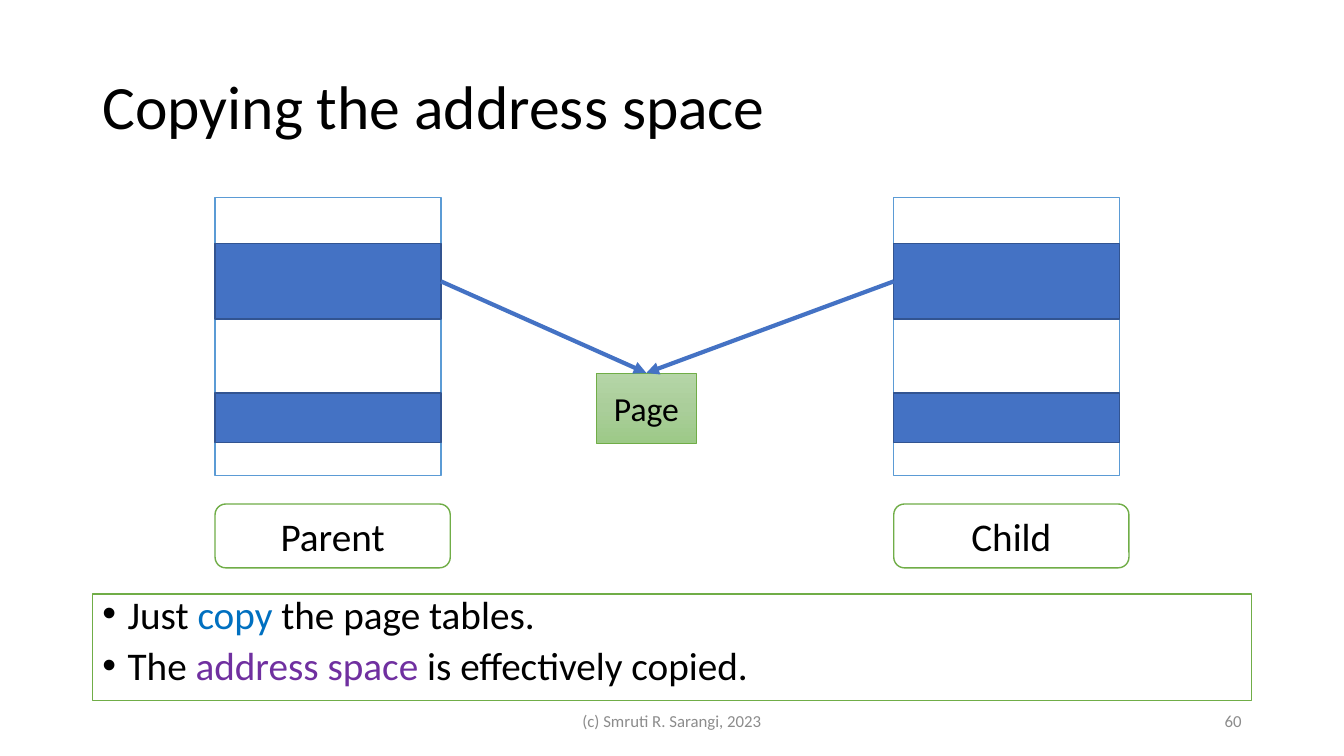
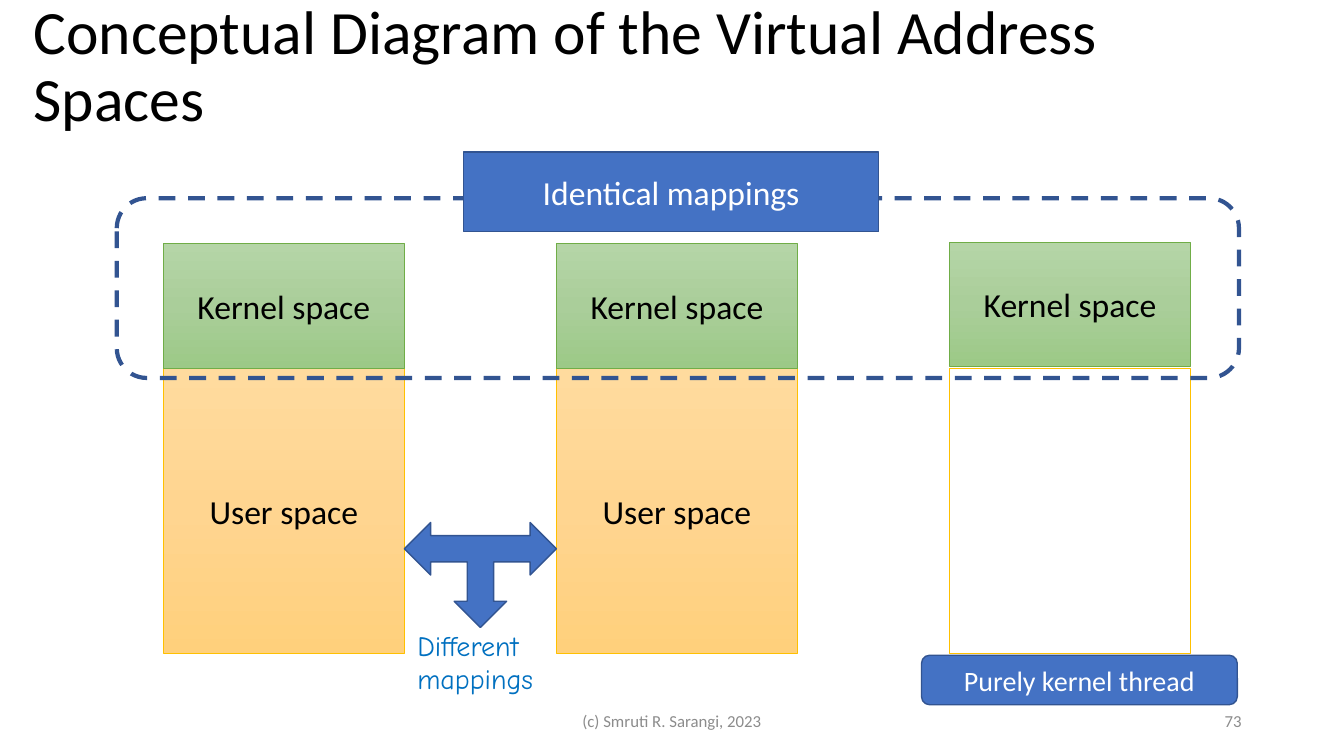
from copy import deepcopy
from dataclasses import dataclass

from lxml.etree import SubElement as Sub
from pptx import Presentation
from pptx.dml.color import RGBColor as Rgb
from pptx.enum.dml import MSO_LINE as Dash
from pptx.enum.shapes import MSO_CONNECTOR as Conn, MSO_SHAPE as Geo
from pptx.enum.text import MSO_ANCHOR as Anchor, MSO_AUTO_SIZE as Auto, PP_ALIGN as Align
from pptx.oxml.ns import qn
from pptx.util import Inches, Pt

COLS, ROWS = 80, 45
UNIT = Inches(1) / 6
TOP, LEFT, RIGHT = 0, 1, 3


@dataclass(frozen=True)
class Theme:
    font: str = "Calibri"
    hand: str = "Comic Neue"
    ink: str = "000000"
    paper: str = "FFFFFF"
    gray: str = "8C8C8C"
    blue: str = "4472C4"
    navy: str = "325491"
    sky: str = "5B9BD5"
    green: str = "70AD47"
    gold: str = "FFC000"
    azure: str = "0070C0"
    violet: str = "7030A0"
    leaf: tuple = ("B5D5A7", "AACE9A", "9CC987")
    sand: tuple = ("FFDB9E", "FFD590", "FFD07C")
    head: int = 44
    large: int = 28
    mid: int = 24
    small: int = 20
    note: int = 12


def grid(*cells):
    """Turn grid columns and rows into slide lengths."""
    return [round(cell * UNIT) for cell in cells]


class Deck:
    def __init__(self, theme):
        self.theme = theme
        self.prs = Presentation()
        self.prs.slide_width, self.prs.slide_height = grid(COLS, ROWS)
        self.slide = None

    def page(self, layout, title, box, number):
        self.slide = self.prs.slides.add_slide(self.prs.slide_layouts[layout])
        t = self.theme
        head = self.slide.shapes.title
        self.place(head, box)
        head.text_frame.vertical_anchor = Anchor.MIDDLE
        par = head.text_frame.paragraphs[0]
        par.line_spacing = 0.9
        self.say(par, [(title, t.ink)], t.head, Align.LEFT)
        for text, spot, align in (
            ("(c) Smruti R. Sarangi, 2023", (26.5, 41.7, 27, 2.4), Align.CENTER),
            (number, (56.5, 41.7, 18, 2.4), Align.RIGHT),
        ):
            foot = self.label(text, spot, t.note, t.gray, align)
            foot.vertical_anchor = Anchor.MIDDLE

    def place(self, shape, box):
        shape.left, shape.top, shape.width, shape.height = grid(*box)
        shape.text_frame.word_wrap = True
        shape.text_frame.auto_size = Auto.NONE

    def say(self, par, runs, size, align, font=None):
        """Add (text, colour) runs; a newline becomes a line break."""
        par.alignment = align
        for text, color in runs:
            for i, line in enumerate(text.split("\n")):
                if i:
                    par.add_line_break()
                run = par.add_run()
                run.text = line
                run.font.name = font or self.theme.font
                run.font.size = Pt(size)
                run.font.color.rgb = Rgb.from_string(color)

    def label(self, text, box, size, color, align=Align.LEFT, font=None):
        frame = self.slide.shapes.add_textbox(*grid(*box)).text_frame
        frame.word_wrap = True
        self.say(frame.paragraphs[0], [(text, color)], size, align, font)
        return frame

    def paint(self, shape, fill, line, width):
        """Fill with nothing, one colour or evenly spaced gradient colours."""
        if fill is None:
            shape.fill.background()
        elif isinstance(fill, str):
            shape.fill.solid()
            shape.fill.fore_color.rgb = Rgb.from_string(fill)
        else:
            shape.fill.gradient()
            shape.fill.gradient_angle = 270
            stops = shape._element.spPr.find(".//" + qn("a:gsLst"))
            while len(stops) < len(fill):
                stops.append(deepcopy(stops[-1]))
            for i, stop in enumerate(shape.fill.gradient_stops):
                stop.position = i / (len(fill) - 1)
                stop.color.rgb = Rgb.from_string(fill[i])
        shape.line.color.rgb = Rgb.from_string(line)
        shape.line.width = Pt(width)

    def shape(self, box, fill, line, text="", size=None, color=None,
              geo=Geo.RECTANGLE, width=1):
        item = self.slide.shapes.add_shape(geo, *grid(*box))
        item.shadow.inherit = False
        self.paint(item, fill, line, width)
        if text:
            frame = item.text_frame
            frame.vertical_anchor = Anchor.MIDDLE
            self.say(frame.paragraphs[0], [(text, color or self.theme.ink)],
                     size, Align.CENTER)
        return item

    def bullets(self, box, items):
        body = self.slide.placeholders[1]
        self.place(body, box)
        t = self.theme
        self.paint(body, t.paper, t.green, 1)
        frame = body.text_frame
        for i, runs in enumerate(items):
            par = frame.add_paragraph() if i else frame.paragraphs[0]
            props = par._p.get_or_add_pPr()
            props.set("marL", str(Inches(0.25)))
            props.set("indent", str(-Inches(0.25)))
            Sub(props, qn("a:buFont")).set("typeface", "Arial")
            Sub(props, qn("a:buChar")).set("char", "•")
            par.line_spacing = 0.8
            par.space_before = Pt(10 if i else 0)
            self.say(par, runs, t.large, Align.LEFT)

    def arrow(self, start, side, end, stop):
        """Join the given sides of two shapes, with a head at the end."""
        link = self.slide.shapes.add_connector(Conn.STRAIGHT, 0, 0, 0, 0)
        link.begin_connect(start, side)
        link.end_connect(end, stop)
        link.line.color.rgb = Rgb.from_string(self.theme.blue)
        link.line.width = Pt(3)
        props = link._element.spPr
        Sub(props.find(qn("a:ln")), qn("a:tailEnd")).set("type", "triangle")
        Sub(props, qn("a:effectLst"))


def copying(deck):
    t = deck.theme
    deck.page(1, "Copying the address space", (5.5, 2.16, 69, 8.7), "60")
    deck.bullets((5.5, 35.35, 69, 6.35), [
        [("Just ", t.ink), ("copy", t.azure), (" the page tables.", t.ink)],
        [("The ", t.ink), ("address space ", t.violet),
         ("is effectively copied.", t.ink)],
    ])
    frame = deck.shape((35.5, 22.2, 5.95, 4.2), t.leaf, t.green, "Page", t.mid,
                       width=0.5)
    wide = 13.45
    for name, x, side in (("Parent", 12.8, RIGHT), ("Child", 53.2, LEFT)):
        deck.shape((x, 11.75, wide, 16.55), t.paper, t.sky)
        block, _ = [deck.shape((x, y, wide, high), t.blue, t.navy)
                    for y, high in ((14.5, 4.5), (23.4, 2.95))]
        deck.shape((x, 30, 14, 3.8), t.paper, t.green, name, t.large,
                   geo=Geo.ROUNDED_RECTANGLE)
        deck.arrow(block, side, frame, TOP)


def spaces(deck):
    t = deck.theme
    deck.page(5, "Conceptual Diagram of the Virtual Address Spaces",
              (1.4, -0.3, 75.1, 8.7), "73")
    left, step, wide = 9.72, 23.4, 14.35
    split, high = 21.9, 7.4
    for i, (fill, text, top) in enumerate((
        (t.sand, "User space", 14.5),
        (t.sand, "User space", 14.5),
        (t.paper, "", 14.4),
    )):
        x = left + i * step
        deck.shape((x, split, wide, 17), fill, t.gold, text, t.mid, width=0.5)
        deck.shape((x, top, wide, high), t.leaf, t.green, "Kernel space", t.mid,
                   width=0.5)
    ring = deck.shape((6.95, 11.8, 66.8, 10.7), None, t.navy,
                      geo=Geo.ROUNDED_RECTANGLE, width=3)
    ring.line.dash_style = Dash.DASH
    deck.shape((27.6, 9.05, 24.7, 4.75), t.blue, t.navy, "Identical mappings",
               t.mid, t.paper)
    fork = deck.shape((left + wide, 31.1, step - wide, 6.25), t.blue, t.navy,
                      geo=Geo.LEFT_RIGHT_UP_ARROW)
    fork.rotation = 180
    note = deck.label("Different\nmappings", (24.25, 37.1, 8.95, 4.6), t.small,
                      t.azure, font=t.hand)
    note.word_wrap = False
    note.auto_size = Auto.SHAPE_TO_FIT_TEXT
    deck.shape((54.85, 39, 18.8, 2.95), t.blue, t.navy, "Purely kernel thread",
               t.small, t.paper, Geo.ROUNDED_RECTANGLE)


def main():
    deck = Deck(Theme())
    copying(deck)
    spaces(deck)
    deck.prs.save("out.pptx")


if __name__ == "__main__":
    main()
